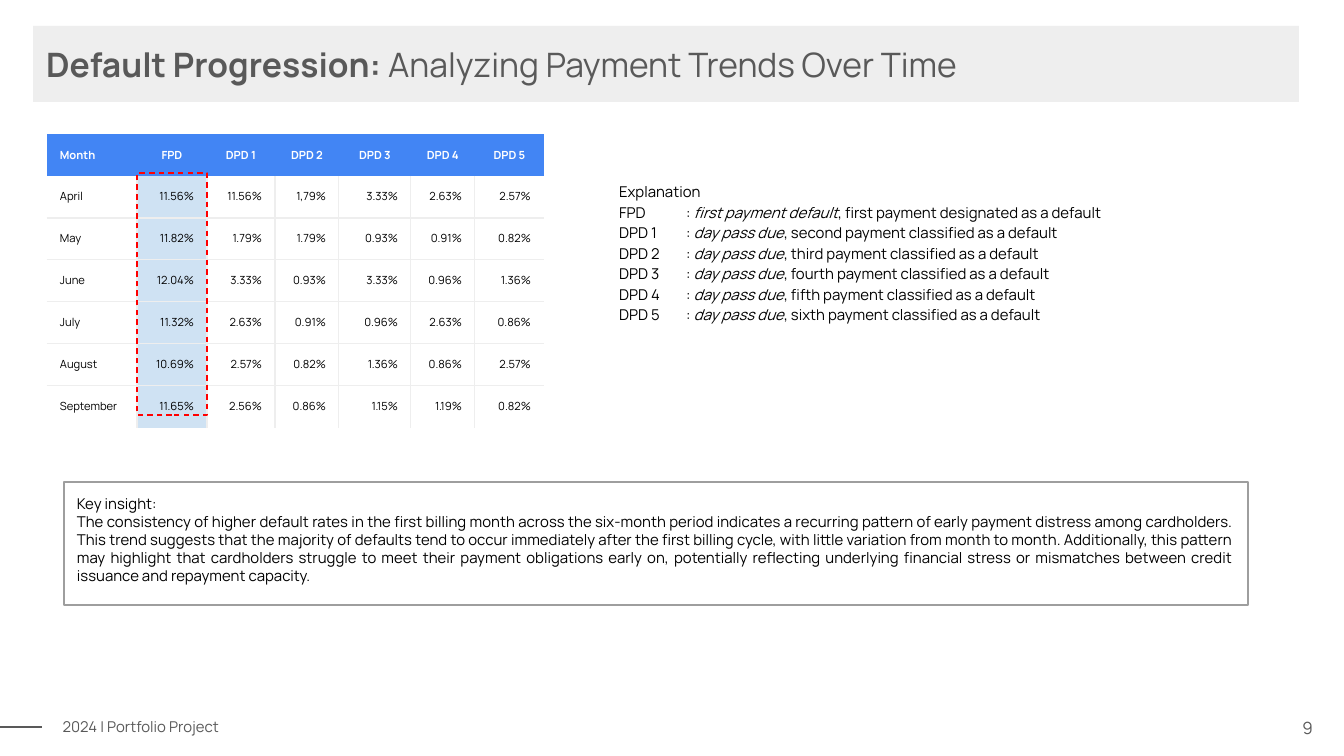
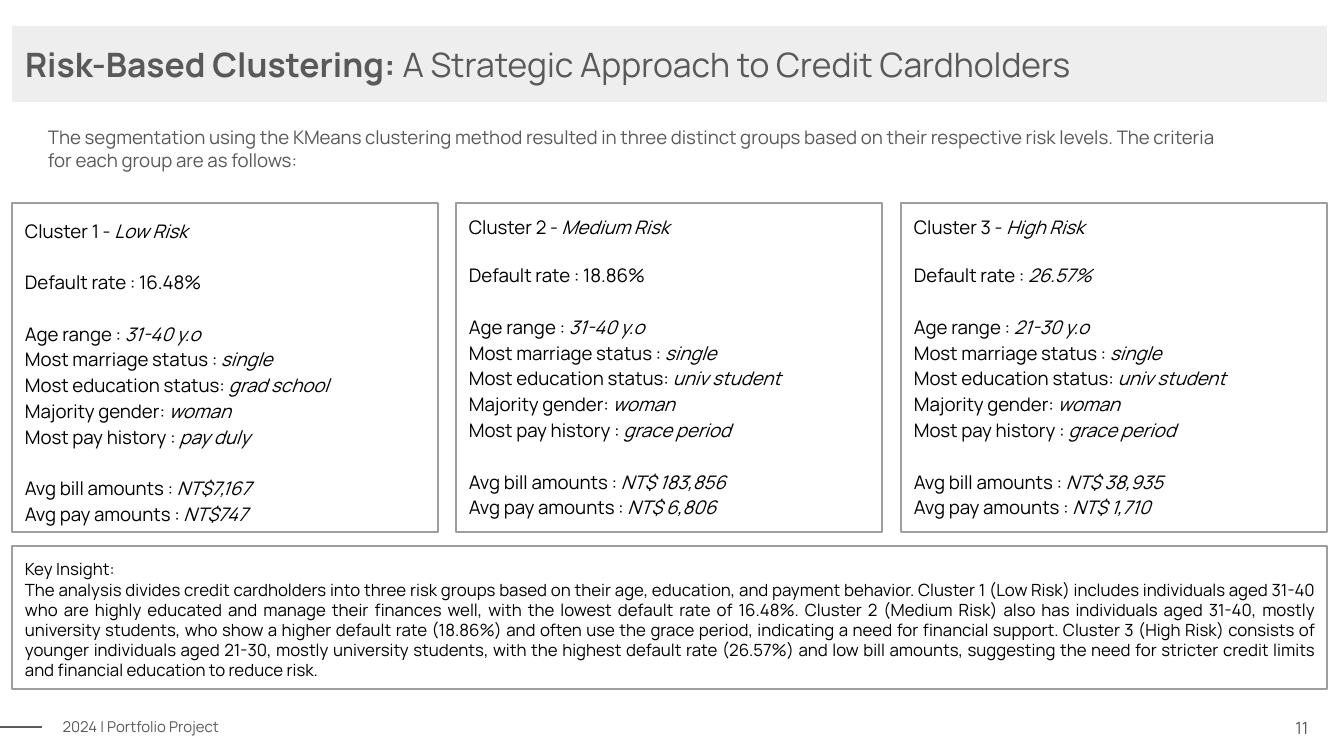
"""Build two credit card default slides: payment trends and risk clusters."""
from lxml.etree import SubElement
from pptx import Presentation
from pptx.dml.color import RGBColor
from pptx.enum.dml import MSO_LINE
from pptx.enum.shapes import MSO_CONNECTOR, MSO_SHAPE
from pptx.enum.text import MSO_ANCHOR, MSO_AUTO_SIZE, PP_ALIGN
from pptx.oxml.ns import qn
from pptx.util import Pt

PX = 914400 * 10 // 1344
FONT = "Manrope"
COLORS = {
    "text": "000000", "muted": "595959", "band": "EEEEEE", "border": "9E9E9E",
    "header": "4285F4", "header_text": "FFFFFF", "first_payment": "CFE2F3", "highlight": "FF0000",
}
RGB = {name: RGBColor.from_string(value) for name, value in COLORS.items()}


def write(frame, lines, size, color="text", align=PP_ALIGN.LEFT, spacing=1.0, emphasis="italic", tab=None):
    """Fill a text frame; parts between asterisks get the emphasis."""
    frame.word_wrap = True
    frame.auto_size = MSO_AUTO_SIZE.NONE
    frame.margin_left = frame.margin_right = frame.margin_top = frame.margin_bottom = 13 * PX
    for index, line in enumerate(lines):
        paragraph = frame.paragraphs[0] if index == 0 else frame.add_paragraph()
        paragraph.alignment = align
        paragraph.line_spacing = spacing
        paragraph.space_before = Pt(0)
        properties = paragraph._p.get_or_add_pPr()
        properties.set("marL", "0")
        properties.set("indent", "0")
        SubElement(properties, qn("a:buNone"))
        if tab:
            stops = SubElement(properties, qn("a:tabLst"))
            SubElement(stops, qn("a:tab"), pos=str(tab * PX), algn="l")
        paragraph.font.name = FONT
        paragraph.font.size = Pt(size)
        paragraph.font.color.rgb = RGB[color]
        for part, text in enumerate(line.split("*")):
            if text:
                run = paragraph.add_run()
                run.text = text
                setattr(run.font, emphasis, part % 2 == 1)


def outline(slide, x, y, width, height, color="border"):
    """Add an unfilled rectangle with a thin line."""
    box = slide.shapes.add_shape(MSO_SHAPE.RECTANGLE, x * PX, y * PX, width * PX, height * PX)
    box.shadow.inherit = False
    box.fill.background()
    box.line.color.rgb = RGB[color]
    box.line.width = Pt(0.75)
    box.text_frame.vertical_anchor = MSO_ANCHOR.TOP
    return box


prs = Presentation()
prs.slide_width = 1344 * PX
prs.slide_height = 756 * PX

pages = [
    {
        "title": "*Default Progression:* Analyzing Payment Trends Over Time",
        "band": (33, 1266),
        "number": ("9", 1288, 39),
        "body": (606, 167, 525, 167),
        "lines": ["Explanation", "FPD\t: *first payment default*, first payment designated as a default"] + [
            f"DPD {number}\t: *day pass due*, {order} payment classified as a default"
            for number, order in enumerate(["second", "third", "fourth", "fifth", "sixth"], 1)
        ],
        "style": {"size": 8, "spacing": 1.15, "tab": 43},
        "insight_box": (64, 482, 1184, 123),
        "insight_size": 8,
        "insight": [
            "Key insight:",
            "The consistency of higher default rates in the first billing month across the six-month period "
            "indicates a recurring pattern of early payment distress among cardholders. This trend suggests that "
            "the majority of defaults tend to occur immediately after the first billing cycle, with little "
            "variation from month to month. Additionally, this pattern may highlight that cardholders struggle to "
            "meet their payment obligations early on, potentially reflecting underlying financial stress or "
            "mismatches between credit issuance and repayment capacity.",
        ],
    },
    {
        "title": "*Risk-Based Clustering:* A Strategic Approach to Credit Cardholders",
        "band": (12, 1315),
        "number": ("11", 1278, 48),
        "body": (35, 113, 1216, 67),
        "lines": [
            "The segmentation using the KMeans clustering method resulted in three distinct groups based on their "
            "respective risk levels. The criteria for each group are as follows:"
        ],
        "style": {"size": 10, "color": "muted"},
        "insight_box": (12, 546, 1315, 143),
        "insight_size": 9,
        "insight": [
            "Key Insight:",
            "The analysis divides credit cardholders into three risk groups based on their age, education, and "
            "payment behavior. Cluster 1 (Low Risk) includes individuals aged 31-40 who are highly educated and "
            "manage their finances well, with the lowest default rate of 16.48%. Cluster 2 (Medium Risk) also has "
            "individuals aged 31-40, mostly university students, who show a higher default rate (18.86%) and often "
            "use the grace period, indicating a need for financial support. Cluster 3 (High Risk) consists of "
            "younger individuals aged 21-30, mostly university students, with the highest default rate (26.57%) "
            "and low bill amounts, suggesting the need for stricter credit limits and financial education to "
            "reduce risk.",
        ],
    },
]

slides = []
for page in pages:
    slide = prs.slides.add_slide(prs.slide_layouts[1])
    slides.append(slide)

    title = slide.shapes.title
    left, width = page["band"]
    title.left, title.top, title.width, title.height = left * PX, 26 * PX, width * PX, 76 * PX
    title.fill.solid()
    title.fill.fore_color.rgb = RGB["band"]
    title.text_frame.vertical_anchor = MSO_ANCHOR.MIDDLE
    write(title.text_frame, [page["title"]], 18, "muted", emphasis="bold")

    body = slide.placeholders[1]
    body.left, body.top, body.width, body.height = [value * PX for value in page["body"]]
    body.text_frame.vertical_anchor = MSO_ANCHOR.TOP
    write(body.text_frame, page["lines"], **page["style"])

    insight = outline(slide, *page["insight_box"])
    write(insight.text_frame, page["insight"], page["insight_size"], align=PP_ALIGN.JUSTIFY)
    insight.text_frame.paragraphs[0].alignment = PP_ALIGN.LEFT

    footer = slide.shapes.add_group_shape()
    project = footer.shapes.add_textbox(42 * PX, 707 * PX, 198 * PX, 40 * PX)
    project.text_frame.vertical_anchor = MSO_ANCHOR.MIDDLE
    write(project.text_frame, ["2024 | Portfolio Project"], 8, "muted", PP_ALIGN.CENTER)
    rule = footer.shapes.add_connector(MSO_CONNECTOR.STRAIGHT, 0, 727 * PX, 42 * PX, 727 * PX)
    rule.end_connect(project, 1)
    rule.line.color.rgb = RGB["muted"]
    rule.line.width = Pt(1.5)
    SubElement(rule._element.spPr, qn("a:effectLst"))

    number, left, width = page["number"]
    page_number = slide.shapes.add_textbox(left * PX, 715 * PX, width * PX, 25 * PX)
    page_number.text_frame.vertical_anchor = MSO_ANCHOR.MIDDLE
    write(page_number.text_frame, [number], 9, "muted", PP_ALIGN.CENTER)

trends, clustering = slides

default_rates = [
    ["Month", "FPD", "DPD 1", "DPD 2", "DPD 3", "DPD 4", "DPD 5"],
    ["April", "11.56%", "11.56%", "1,79%", "3.33%", "2.63%", "2.57%"],
    ["May", "11.82%", "1.79%", "1.79%", "0.93%", "0.91%", "0.82%"],
    ["June", "12.04%", "3.33%", "0.93%", "3.33%", "0.96%", "1.36%"],
    ["July", "11.32%", "2.63%", "0.91%", "0.96%", "2.63%", "0.86%"],
    ["August", "10.69%", "2.57%", "0.82%", "1.36%", "0.86%", "2.57%"],
    ["September", "11.65%", "2.56%", "0.86%", "1.15%", "1.19%", "0.82%"],
]
column_widths = [90, 70, 68, 64, 72, 64, 69]
row_height = 42
last_row, last_column = len(default_rates) - 1, len(column_widths) - 1
rates = trends.shapes.add_table(
    last_row + 1, last_column + 1, 47 * PX, 134 * PX,
    sum(column_widths) * PX, row_height * (last_row + 1) * PX,
).table
rates.first_row = rates.horz_banding = False
for column, width in zip(rates.columns, column_widths):
    column.width = width * PX

for r, values in enumerate(default_rates):
    rates.rows[r].height = row_height * PX
    for c, value in enumerate(values):
        cell = rates.cell(r, c)
        cell.vertical_anchor = MSO_ANCHOR.TOP if r else MSO_ANCHOR.MIDDLE
        cell.margin_left = cell.margin_right = cell.margin_top = cell.margin_bottom = 13 * PX
        ruled = {"lnL": r and c, "lnR": r and c < last_column, "lnT": r > 1, "lnB": r and r < last_row}
        for side, visible in ruled.items():
            border = SubElement(cell._tc.get_or_add_tcPr(), qn(f"a:{side}"), w=str(Pt(0.75)))
            if visible:
                SubElement(SubElement(border, qn("a:solidFill")), qn("a:srgbClr"), val=COLORS["band"])
            else:
                SubElement(border, qn("a:noFill"))
        if r == 0 or c == 1:
            cell.fill.solid()
            cell.fill.fore_color.rgb = RGB["first_payment" if r else "header"]
        else:
            cell.fill.background()
        paragraph = cell.text_frame.paragraphs[0]
        paragraph.text = value
        paragraph.alignment = PP_ALIGN.LEFT if c == 0 else PP_ALIGN.RIGHT if r else PP_ALIGN.CENTER
        paragraph.font.name = FONT
        paragraph.font.size = Pt(6)
        paragraph.font.bold = r == 0
        paragraph.font.color.rgb = RGB["text" if r else "header_text"]

first_payment_highlight = outline(trends, 137, 173, 70, 242, "highlight")
first_payment_highlight.line.dash_style = MSO_LINE.DASH

labels = [
    "Default rate : ", "Age range : ", "Most marriage status : ", "Most education status: ",
    "Majority gender: ", "Most pay history : ", "Avg bill amounts : ", "Avg pay amounts : ",
]
clusters = [
    ("Low Risk", ["16.48%", "*31-40 y.o*", "*single*", "*grad school*", "*woman*", "*pay duly*",
                  "*NT$7,167*", "*NT$747*"]),
    ("Medium Risk", ["18.86%", "*31-40 y.o*", "*single*", "*univ student*", "*woman*", "*grace period*",
                     "*NT$ 183,856*", "*NT$ 6,806*"]),
    ("High Risk", ["*26.57%*", "*21-30 y.o*", "*single*", "*univ student*", "*woman*", "*grace period*",
                   "*NT$ 38,935*", "*NT$ 1,710*"]),
]
for index, (risk, facts) in enumerate(clusters):
    card = outline(clustering, 12 + (1315 - 426) * index // 2, 203, 426, 329)
    lines = [f"Cluster {index + 1} - *{risk}*"] + [label + fact for label, fact in zip(labels, facts)]
    write(card.text_frame, lines, 10, spacing=1.15)
    heading, default_rate, age_range, *_, bill_amounts, pay_amounts = card.text_frame.paragraphs
    for group_start in (default_rate, age_range, bill_amounts):
        group_start.space_before = Pt(13.8)
    if index:
        heading.line_spacing = 1.0
        default_rate.space_before = Pt(12)

prs.save("out.pptx")
